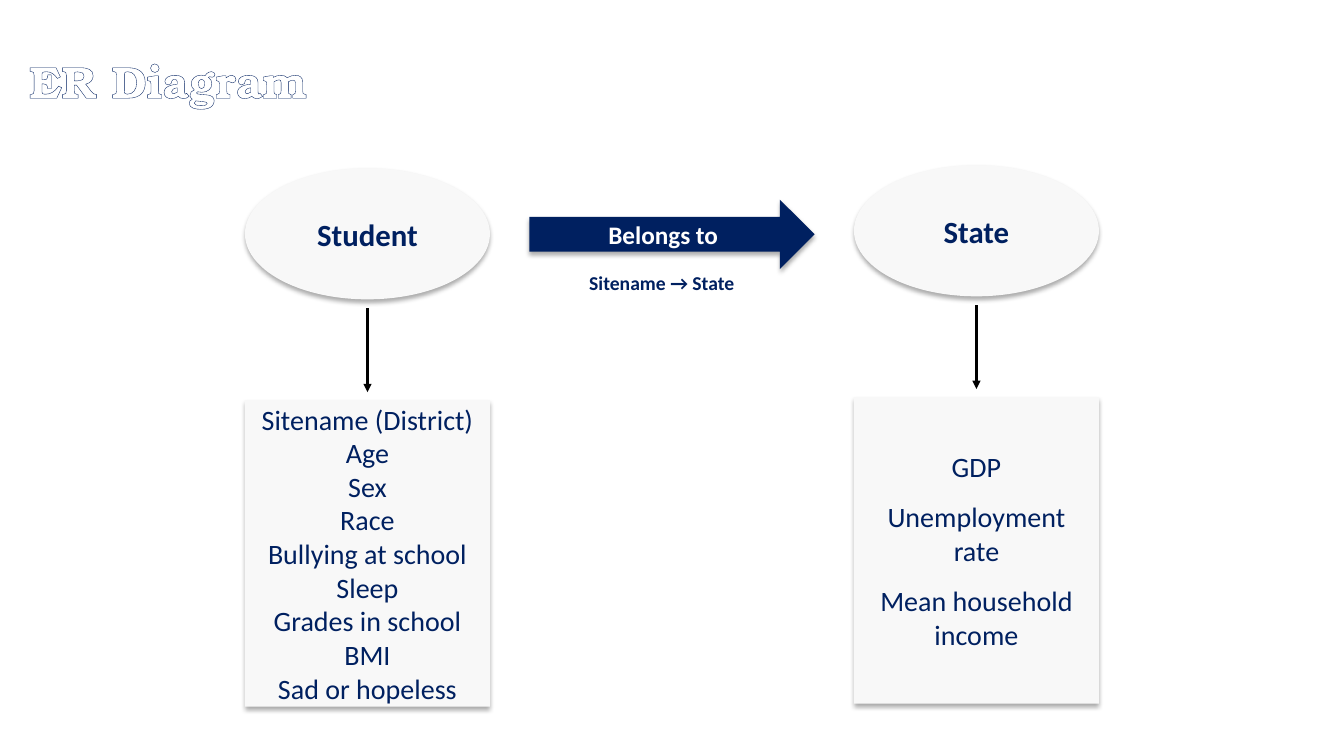
"""Build the ER diagram slide linking students to states."""
import pptx
import pptx.util
import pptx.dml.color
import pptx.enum.shapes
import pptx.enum.text
import pptx.oxml
import pptx.oxml.ns

Inches = pptx.util.Inches
Pt = pptx.util.Pt
SHAPE = pptx.enum.shapes.MSO_SHAPE
ALIGN = pptx.enum.text.PP_ALIGN
ANCHOR = pptx.enum.text.MSO_ANCHOR
NAMESPACE = pptx.oxml.ns.nsdecls("a")
COLOURS = {"navy": "002060", "panel": "F8F8F8", "white": "FFFFFF", "black": "000000"}
SHADOW = (
    f'<a:effectLst {NAMESPACE}><a:outerShdw blurRad="44450" dist="27940" dir="5400000" '
    f'algn="ctr" rotWithShape="0"><a:srgbClr val="{COLOURS["black"]}">'
    '<a:alpha val="32000"/></a:srgbClr></a:outerShdw></a:effectLst>'
)


def write_lines(box, lines, size, colour, bold=False, gap=0):
    """Fill a box with centred paragraphs."""
    frame = box.text_frame
    frame.word_wrap = True
    frame.text = "\n".join(lines)
    for index, para in enumerate(frame.paragraphs):
        para.alignment = ALIGN.CENTER
        para.space_before = Pt(gap if index else 0)
        para.font.name = "Calibri"
        para.font.size = Pt(size)
        para.font.bold = bold
        para.font.color.rgb = pptx.dml.color.RGBColor.from_string(COLOURS[colour])


def add_panel(page, kind, left, top, width, height, fill):
    """Add a borderless filled shape with a soft shadow."""
    panel = page.shapes.add_shape(kind, Inches(left), Inches(top), Inches(width), Inches(height))
    panel.fill.solid()
    panel.fill.fore_color.rgb = pptx.dml.color.RGBColor.from_string(COLOURS[fill])
    panel.line.fill.background()
    panel._element.spPr.append(pptx.oxml.parse_xml(SHADOW))
    panel.text_frame.vertical_anchor = ANCHOR.MIDDLE
    return panel


deck = pptx.Presentation()
deck.slide_width = Inches(13.33)
deck.slide_height = Inches(7.5)
page = deck.slides.add_slide(deck.slide_layouts[5])

title = page.shapes.title
title.left, title.top = Inches(0.19), Inches(0.48)
title.width, title.height = Inches(3.04), Inches(0.64)
title.text_frame.word_wrap = False
title.text_frame.vertical_anchor = ANCHOR.TOP
heading = title.text_frame.paragraphs[0]
heading.alignment = ALIGN.LEFT
span = heading.add_run()
span.text = "ER Diagram"
span.font.name = "TeX Gyre Bonum"
span.font.size = Pt(32)
span.font.bold = True
span.font.color.rgb = pptx.dml.color.RGBColor.from_string(COLOURS["white"])
outline = pptx.oxml.parse_xml(
    f'<a:ln {NAMESPACE} w="9525"><a:solidFill><a:srgbClr val="{COLOURS["navy"]}"/>'
    "</a:solidFill></a:ln>"
)
span.font._element.insert(0, outline)

student_fields = [
    "Sitename (District)", "Age", "Sex", "Race", "Bullying at school",
    "Sleep", "Grades in school", "BMI", "Sad or hopeless",
]
state_fields = ["GDP", "Unemployment rate", "Mean household income"]
entities = [
    ("Student", 2.43, 1.67, student_fields, 0),
    ("State", 8.47, 1.64, state_fields, 12),
]
entity_width = 2.43
for name, left, top, fields, gap in entities:
    entity = add_panel(page, SHAPE.OVAL, left, top, entity_width, 1.3, "panel")
    write_lines(entity, [name], 22, "navy", bold=True)

    middle = Inches(left + entity_width / 2)
    arrow = page.shapes.add_connector(
        pptx.enum.shapes.MSO_CONNECTOR.STRAIGHT,
        middle, Inches(top + 1.39), middle, Inches(top + 2.22),
    )
    arrow.line.width = Pt(1.5)
    arrow.line.color.rgb = pptx.dml.color.RGBColor.from_string(COLOURS["black"])
    arrow.line._get_or_add_ln().append(
        pptx.oxml.parse_xml(f'<a:tailEnd {NAMESPACE} type="triangle"/>')
    )
    arrow._element.spPr.append(pptx.oxml.parse_xml(f"<a:effectLst {NAMESPACE}/>"))

    attributes = add_panel(page, SHAPE.RECTANGLE, left, top + 2.3, entity_width, 3.04, "panel")
    write_lines(attributes, fields, 20, "navy", gap=gap)

relation = add_panel(page, SHAPE.RIGHT_ARROW, 5.25, 1.98, 2.83, 0.69, "navy")
write_lines(relation, ["Belongs to"], 18, "white", bold=True)

mapping = page.shapes.add_textbox(Inches(5.4), Inches(2.64), Inches(2.33), Inches(0.34))
write_lines(mapping, ["Sitename → State"], 14, "navy", bold=True)

deck.save("out.pptx")
